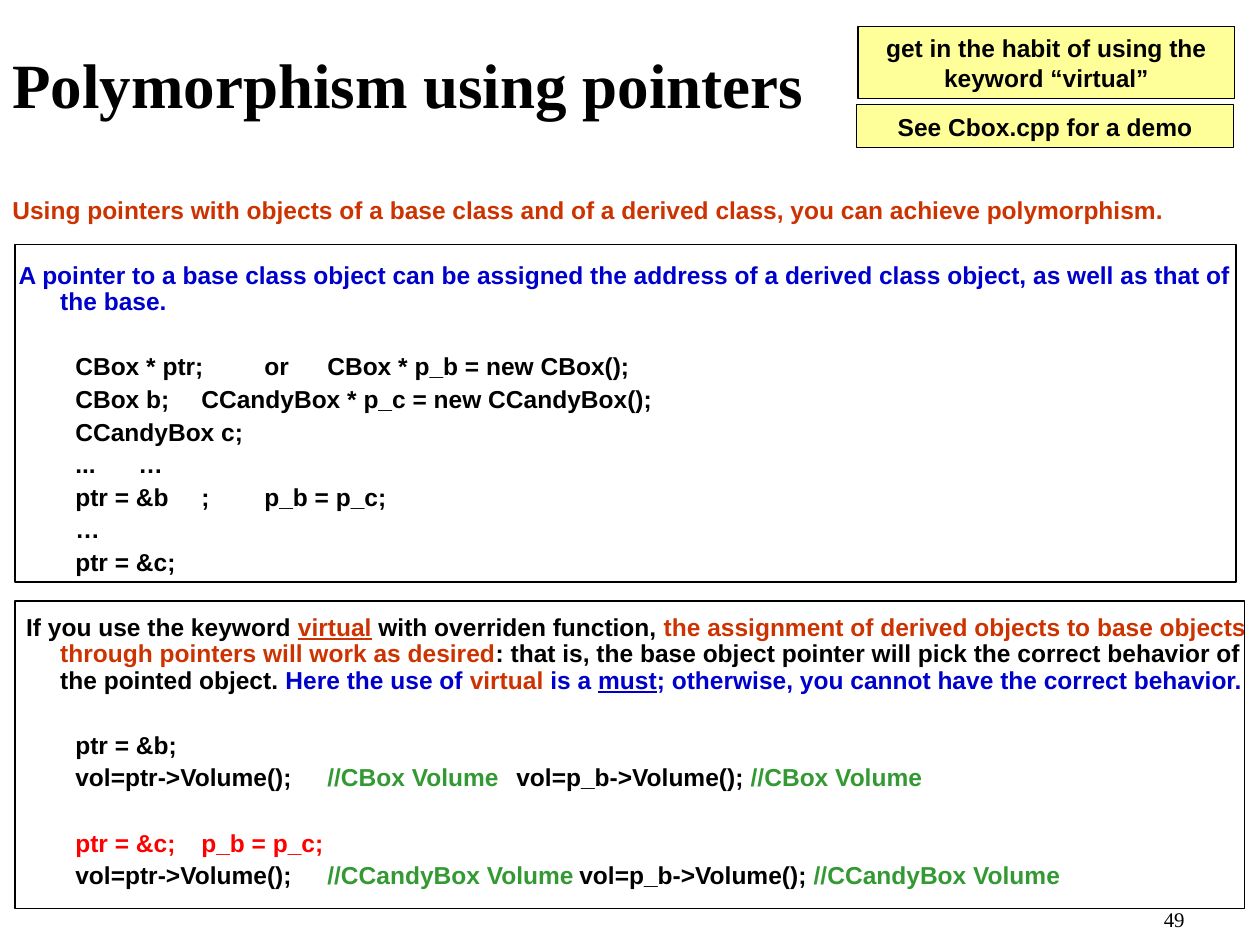
from lxml.etree import SubElement
from pptx import Presentation
from pptx.dml.color import RGBColor
from pptx.enum.shapes import MSO_SHAPE
from pptx.enum.text import MSO_ANCHOR, PP_ALIGN
from pptx.oxml.ns import qn
from pptx.util import Inches, Pt

THEME = {
    "black": "000000", "rust": "CC3300", "blue": "0000CC",
    "green": "339933", "red": "FF0000", "note": "FFFF99",
    "heading": {"name": "Times New Roman", "size": Pt(36), "bold": True},
    "text": {"name": "Arial", "size": Pt(14), "bold": True},
    "underlined": {"name": "Arial", "size": Pt(14), "bold": True, "underline": True},
    "page": {"name": "Times New Roman", "size": Pt(11.9), "bold": False},
}

deck = Presentation()
deck.slide_width, deck.slide_height = Inches(10), Inches(7.5)
COL, ROW = deck.slide_width / 100, deck.slide_height / 75
slide = deck.slides.add_slide(deck.slide_layouts[6])


def place(left, top, width, height):
    return [int(left * COL), int(top * ROW), int(width * COL), int(height * ROW)]


def write(paragraph, layout, runs):
    for field, value in layout.items():
        setattr(paragraph, field, value)
    for words, color, style in runs:
        run = paragraph.add_run()
        run.text = words
        for field, value in THEME[style].items():
            setattr(run.font, field, value)
        run.font.color.rgb = RGBColor.from_string(THEME[color])


heading = slide.shapes.add_textbox(*place(0, 2.5, 100, 8.3)).text_frame
heading.word_wrap = True
heading.vertical_anchor = MSO_ANCHOR.MIDDLE
write(heading.paragraphs[0], {}, [("Polymorphism using pointers", "black", "heading")])

NEXT, APART = 3.5, 22.1
HANG = 3.8
LESSON = [
    (0, HANG, -HANG, [], [
        ("Using pointers with objects of a base class and of a derived class, "
         "you can achieve polymorphism.", "rust", "text")]),
    (APART, HANG, -3.3, [], [
        ("A pointer to a base class object can be assigned the address of a derived "
         "class object, as well as that of the base.", "blue", "text")]),
    (APART, 0, 0, [12.2, 32.5, 42.5], [
        ("\tCBox * ptr;\tor\tCBox * p_b = new CBox();", "black", "text")]),
    (NEXT, 0, 0, [15.9, 53.8], [
        ("\tCBox b;\tCCandyBox * p_c = new CCandyBox();", "black", "text")]),
    (NEXT, 0, 0, [15.9], [("\tCCandyBox c;", "black", "text")]),
    (NEXT, 0, 0, [12.5, 52.5], [("\t...\t…", "black", "text")]),
    (NEXT, 0, 0, [12.5, 22.5, 52.5], [("\tptr = &b\t;\tp_b = p_c;", "black", "text")]),
    (NEXT, 0, 0, [12.5], [("\t…", "black", "text")]),
    (NEXT, 0, 0, [12.7], [("\tptr = &c;", "black", "text")]),
    (APART, HANG, -2.7, [], [
        ("If you use the keyword ", "black", "text"),
        ("virtual", "rust", "underlined"),
        (" with overriden function, ", "black", "text"),
        ("the assignment of derived objects to base objects through pointers "
         "will work as desired", "rust", "text"),
        (": that is, the base object pointer will pick the correct behavior of "
         "the pointed object. ", "black", "text"),
        ("Here the use of ", "blue", "text"),
        ("virtual ", "rust", "text"),
        ("is a ", "blue", "text"),
        ("must", "blue", "underlined"),
        ("; otherwise, you cannot have the correct behavior.", "blue", "text")]),
    (APART, 0, 0, [4.3], [("\tptr = &b;", "black", "text")]),
    (NEXT, 0, 0, [HANG, 22, 53.8], [
        ("\tvol=ptr->Volume();", "black", "text"),
        ("\t//CBox Volume", "green", "text"),
        ("\tvol=p_b->Volume();", "black", "text"),
        (" //CBox Volume", "green", "text")]),
    (APART, 0, 0, [HANG, 44.3], [("\tptr = &c;\tp_b = p_c;", "red", "text")]),
    (NEXT, 0, 0, [HANG, 22, 43.8], [
        ("\tvol=ptr->Volume();", "black", "text"),
        ("\t//CCandyBox Volume", "green", "text"),
        ("\tvol=p_b->Volume();", "black", "text"),
        (" //CCandyBox Volume", "green", "text")]),
]

lesson = slide.shapes.add_textbox(*place(0, 15.2, 100, 59.1)).text_frame
lesson.word_wrap = True
lesson.margin_right = int(0.6 * COL)
for index, (gap, margin, indent, stops, runs) in enumerate(LESSON):
    line = lesson.add_paragraph() if index else lesson.paragraphs[0]
    write(line, {"line_spacing": Pt(15.1), "space_before": Pt(gap)}, runs)
    properties = line._p.get_or_add_pPr()
    properties.set("marL", str(int(margin * COL)))
    properties.set("indent", str(int(indent * COL)))
    if stops:
        tabs = SubElement(properties, qn("a:tabLst"))
        for stop in stops:
            SubElement(tabs, qn("a:tab"), pos=str(int(stop * COL)), algn="l")

PANELS = [
    (place(1.2, 19.4, 96.9, 26.8), ""),
    (place(68.1, 2.1, 29.9, 5.7), "get in the habit of using the keyword “virtual”"),
    (place(1.2, 47.7, 97.6, 24.4), ""),
    (place(68, 8.3, 29.9, 3.4), "See Cbox.cpp for a demo"),
]
for area, advice in PANELS:
    panel = slide.shapes.add_shape(MSO_SHAPE.RECTANGLE, *area)
    panel.shadow.inherit = False
    panel.line.color.rgb = RGBColor.from_string(THEME["black"])
    panel.line.width = Pt(0.75)
    if advice:
        panel.fill.solid()
        panel.fill.fore_color.rgb = RGBColor.from_string(THEME["note"])
        panel.text_frame.word_wrap = True
        write(panel.text_frame.paragraphs[0],
              {"alignment": PP_ALIGN.CENTER, "line_spacing": Pt(17.1)},
              [(advice, "black", "text")])
    else:
        panel.fill.background()

page = slide.shapes.add_textbox(*place(74.2, 71.7, 20.8, 3.1)).text_frame
page.word_wrap = True
write(page.paragraphs[0], {"alignment": PP_ALIGN.RIGHT, "line_spacing": 0.9},
      [("49", "black", "page")])

deck.save("out.pptx")
